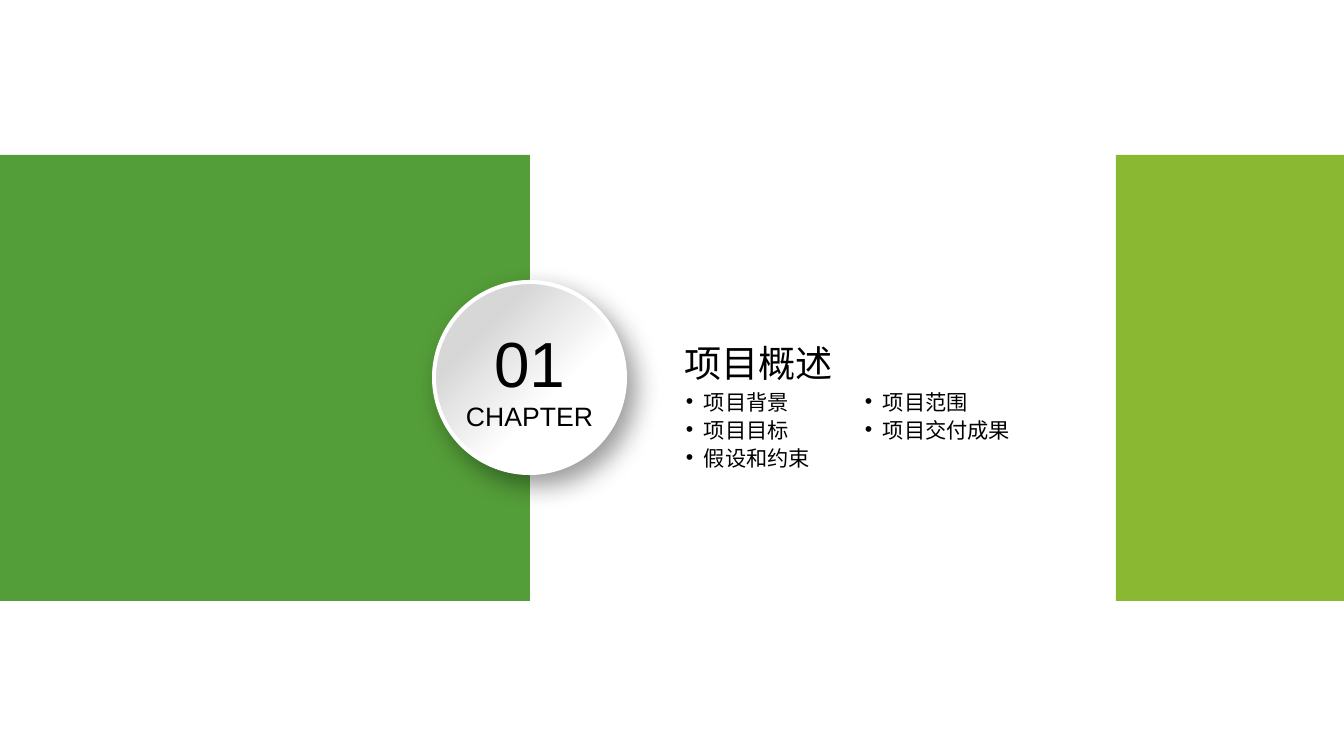
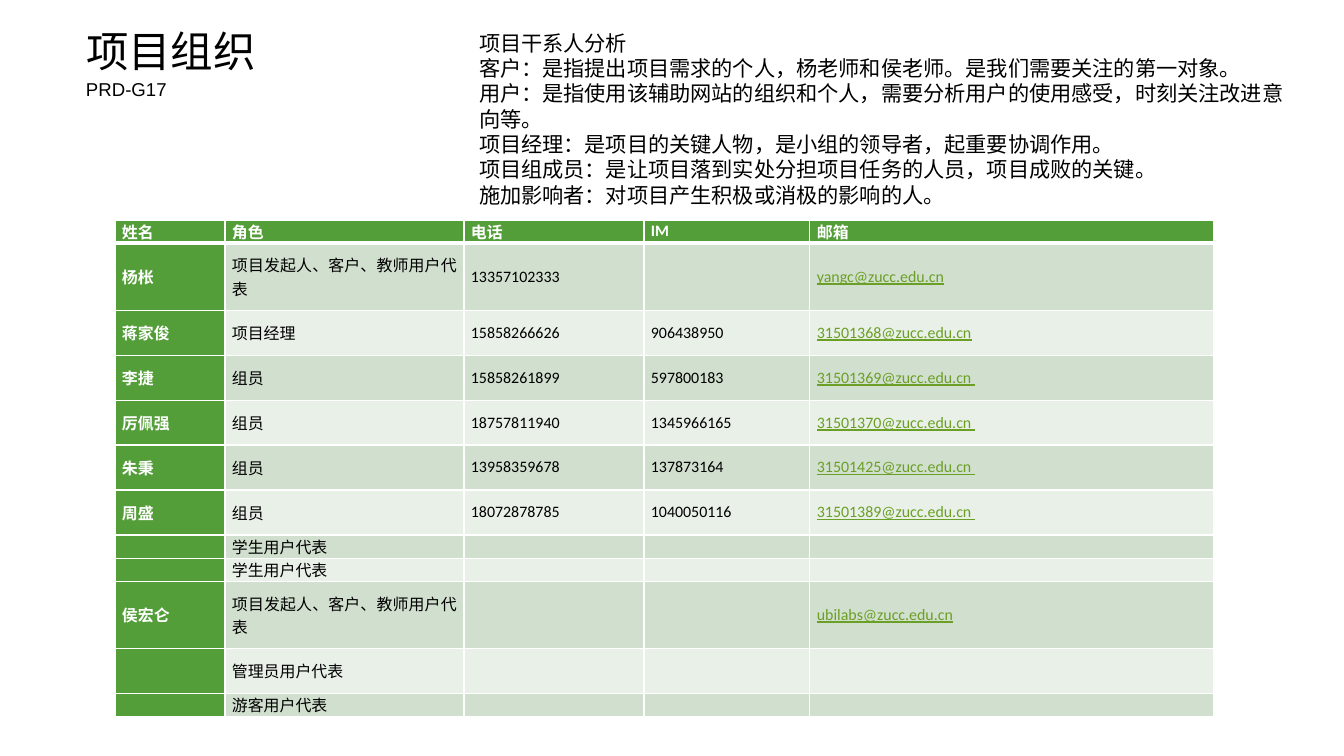
from lxml import etree
from pptx import Presentation
from pptx.dml.color import RGBColor
from pptx.enum.shapes import MSO_SHAPE
from pptx.enum.text import MSO_ANCHOR, MSO_AUTO_SIZE, PP_ALIGN
from pptx.oxml.ns import qn
from pptx.util import Pt

RECTANGLE, OVAL = MSO_SHAPE.RECTANGLE, MSO_SHAPE.OVAL
TOP, MIDDLE = MSO_ANCHOR.TOP, MSO_ANCHOR.MIDDLE
LEFT, CENTER, JUSTIFY = PP_ALIGN.LEFT, PP_ALIGN.CENTER, PP_ALIGN.JUSTIFY
NO_AUTOFIT = MSO_AUTO_SIZE.NONE

EMU_PER_PX = 9565
TITLE_ONLY = 5
INSET = (10, 5, 10, 5)
FLUSH = (0, 0, 0, 0)
CELL_INSET = (7, 0, 7, 0)
COLORS = {
    "green": "549E39", "lime": "8AB833", "silver": "D7D7D7", "white": "FFFFFF",
    "black": "000000", "band_dark": "D1DFCE", "band_light": "E9F0E8", "link": "6B9F25",
}

CHAPTER_TOPICS = [["项目背景", "项目目标", "假设和约束"], ["项目范围", "项目交付成果"]]
STAKEHOLDERS = [
    "项目干系人分析",
    "客户：是指提出项目需求的个人，杨老师和侯老师。是我们需要关注的第一对象。",
    "用户：是指使用该辅助网站的组织和个人，需要分析用户的使用感受，时刻关注改进意向等。",
    "项目经理：是项目的关键人物，是小组的领导者，起重要协调作用。",
    "项目组成员：是让项目落到实处分担项目任务的人员，项目成败的关键。",
    "施加影响者：对项目产生积极或消极的影响的人。",
]
SPONSOR = "项目发起人、客户、教师用户代表"
MEMBER_ROWS = [
    ("姓名", "角色", "电话", "IM", "邮箱"),
    ("杨枨", SPONSOR, "13357102333", "", "yangc@zucc.edu.cn"),
    ("蒋家俊", "项目经理", "15858266626", "906438950", "31501368@zucc.edu.cn"),
    ("李捷", "组员", "15858261899", "597800183", "31501369@zucc.edu.cn "),
    ("厉佩强", "组员", "18757811940", "1345966165", "31501370@zucc.edu.cn "),
    ("朱秉", "组员", "13958359678", "137873164", "31501425@zucc.edu.cn "),
    ("周盛", "组员", "18072878785", "1040050116", "31501389@zucc.edu.cn "),
    ("", "学生用户代表", "", "", ""),
    ("", "学生用户代表", "", "", ""),
    ("侯宏仑", SPONSOR, "", "", "ubilabs@zucc.edu.cn"),
    ("", "管理员用户代表", "", "", ""),
    ("", "游客用户代表", "", "", ""),
]
MEMBER_WIDTHS = [110, 239, 180, 166, 404]
MEMBER_HEIGHTS = [23, 67, 45, 45, 45, 45, 45, 23, 23, 67, 45, 23]


def px(length):
    """Turn whole pixels into EMU."""
    return length * EMU_PER_PX


def rgb(name):
    """Look up a named colour."""
    return RGBColor.from_string(COLORS[name])


def add_child(parent, tag, **attributes):
    """Append a DrawingML element and return it."""
    child = etree.SubElement(parent, qn(f"a:{tag}"))
    for key, setting in attributes.items():
        child.set(key, str(setting))
    return child


def write(paragraph, text, size=16, font="Arial", color="black", bold=False,
          underline=False, align=LEFT, bullet=False, line=None):
    """Write one formatted paragraph."""
    if bullet:
        properties = paragraph._p.get_or_add_pPr()
        properties.set("marL", str(px(18)))
        properties.set("indent", str(px(-18)))
        add_child(properties, "buFont", typeface="Arial")
        add_child(properties, "buChar", char="•")
    paragraph.alignment = align
    if line:
        paragraph.line_spacing = Pt(line)
    if not text:
        add_child(paragraph._p, "endParaRPr", sz=size * 100)
        return
    run = paragraph.add_run()
    run.text = text
    run.font.size = Pt(size)
    run.font.name = font
    run.font.bold = bold
    run.font.underline = underline
    run.font.color.rgb = rgb(color)


class Deck:
    """Hold the presentation style and the current slide."""

    def __init__(self, width, height):
        """Start an empty presentation of the given size."""
        self.presentation = Presentation()
        self.presentation.slide_width = px(width)
        self.presentation.slide_height = px(height)
        self.slide = None

    def new_slide(self, title, x, y, w, h, size, anchor):
        """Add a slide with its formatted title."""
        layout = self.presentation.slide_layouts[TITLE_ONLY]
        self.slide = self.presentation.slides.add_slide(layout)
        heading = self.slide.shapes.title
        heading.left, heading.top, heading.width, heading.height = map(px, (x, y, w, h))
        self.fill_frame(heading.text_frame, [(title, {"size": size})], FLUSH, anchor)

    def fill_frame(self, frame, lines, inset, anchor, wrap=True):
        """Set up a text frame and write its lines."""
        frame.auto_size = NO_AUTOFIT
        frame.word_wrap = wrap
        frame.vertical_anchor = anchor
        (frame.margin_left, frame.margin_top,
         frame.margin_right, frame.margin_bottom) = map(px, inset)
        for index, (text, style) in enumerate(lines):
            paragraph = frame.add_paragraph() if index else frame.paragraphs[0]
            write(paragraph, text, **style)

    def text(self, lines, x, y, w, h, inset=INSET, anchor=TOP, wrap=True):
        """Add a text box."""
        box = self.slide.shapes.add_textbox(*map(px, (x, y, w, h)))
        self.fill_frame(box.text_frame, lines, inset, anchor, wrap)

    def band(self, x, y, w, h, color):
        """Add a plain coloured rectangle."""
        band = self.slide.shapes.add_shape(RECTANGLE, *map(px, (x, y, w, h)))
        band.shadow.inherit = False
        band.fill.solid()
        band.fill.fore_color.rgb = rgb(color)
        band.line.fill.background()

    def badge(self, x, y, diameter):
        """Add a shaded disc with a soft shadow."""
        disc = self.slide.shapes.add_shape(OVAL, *map(px, (x, y, diameter, diameter)))
        disc.fill.gradient()
        disc.fill.gradient_angle = 315
        stops = ((0.25, "silver"), (0.62, "white"))
        for stop, (position, color) in zip(disc.fill.gradient_stops, stops):
            stop.position = position
            stop.color.rgb = rgb(color)
        disc.line.color.rgb = rgb("white")
        disc.line.width = Pt(3)
        disc.shadow.inherit = False
        effects = disc._element.spPr.find(qn("a:effectLst"))
        shadow = add_child(effects, "outerShdw", blurRad=Pt(20), dist=Pt(10),
                           dir=50 * 60000, algn="tl", rotWithShape=0)
        shade = add_child(shadow, "srgbClr", val=COLORS["black"])
        add_child(shade, "alpha", val=40000)

    def borders(self, cell, top=1, bottom=1):
        """Draw white borders round a cell."""
        properties = cell._tc.get_or_add_tcPr()
        for side, width in (("L", 1), ("R", 1), ("T", top), ("B", bottom)):
            edge = add_child(properties, f"ln{side}", w=Pt(width))
            add_child(add_child(edge, "solidFill"), "srgbClr", val=COLORS["white"])

    def table(self, rows, x, y, widths, heights):
        """Add a banded table with a header row and a name column."""
        frame = self.slide.shapes.add_table(
            len(rows), len(widths), *map(px, (x, y, sum(widths), sum(heights))))
        grid = frame.table
        grid.first_row = grid.horz_banding = False
        for column, width in zip(grid.columns, widths):
            column.width = px(width)
        for row, height in zip(grid.rows, heights):
            row.height = px(height)
        for r, values in enumerate(rows):
            for c, value in enumerate(values):
                cell = grid.cell(r, c)
                heading = r == 0 or c == 0
                link = "@" in value
                band = "band_dark" if r % 2 else "band_light"
                self.borders(cell, top=3 if r == 1 else 1, bottom=1 if r else 3)
                cell.fill.solid()
                cell.fill.fore_color.rgb = rgb("green" if heading else band)
                cell.vertical_anchor = MIDDLE
                (cell.margin_left, cell.margin_top,
                 cell.margin_right, cell.margin_bottom) = map(px, CELL_INSET)
                color = "white" if heading else "link" if link else "black"
                write(cell.text_frame.paragraphs[0], value, size=12, font="Calibri",
                      color=color, bold=heading, underline=link, align=JUSTIFY)


def build_chapter(deck):
    """Build the chapter divider."""
    deck.new_slide("项目概述", 684, 340, 333, 45, 28, TOP)
    deck.band(-3, 155, 533, 446, "green")
    deck.band(1116, 155, 231, 446, "lime")
    deck.badge(434, 282, 191)
    deck.text([("01", {"size": 48, "align": CENTER}),
               ("CHAPTER", {"size": 20, "align": CENTER})],
              450, 323, 159, 109, inset=FLUSH, anchor=MIDDLE)
    for column, topics in enumerate(CHAPTER_TOPICS):
        for row, topic in enumerate(topics):
            deck.text([(topic, {"bullet": True})],
                      676 + 179 * column, 384 + 28 * row, 165, 35, wrap=False)


def build_organisation(deck):
    """Build the project organisation slide."""
    deck.new_slide("项目组织", 86, 25, 413, 52, 32, MIDDLE)
    deck.text([("PRD-G17", {"size": 14})], 86, 78, 98, 23, inset=FLUSH, anchor=MIDDLE)
    deck.text([(line, {"font": "Noto Sans CJK SC", "line": 19.1}) for line in STAKEHOLDERS],
              469, 25, 827, 216)
    deck.table(MEMBER_ROWS, 115, 220, MEMBER_WIDTHS, MEMBER_HEIGHTS)


def main():
    """Build and save the presentation."""
    deck = Deck(1344, 756)
    build_chapter(deck)
    build_organisation(deck)
    deck.presentation.save("out.pptx")


if __name__ == "__main__":
    main()
